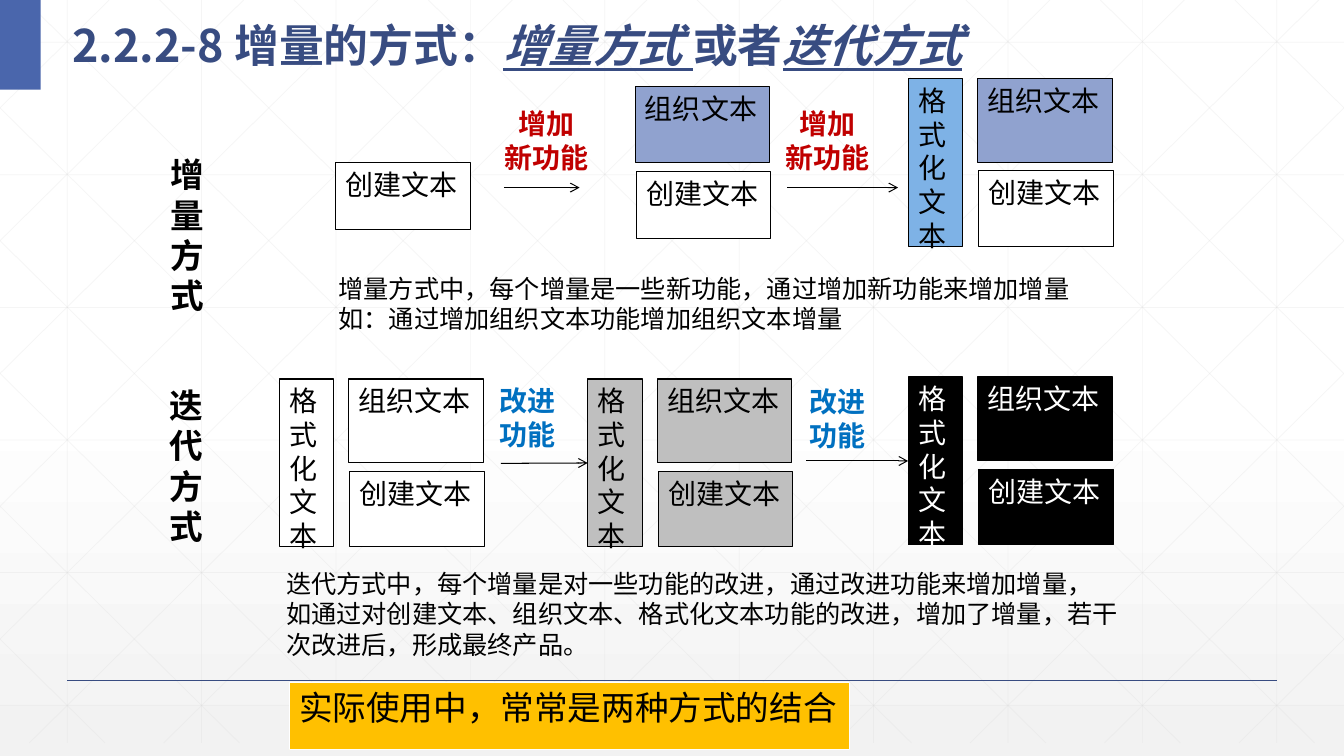
from lxml.etree import SubElement
from pptx import Presentation
from pptx.dml.color import RGBColor
from pptx.enum.shapes import MSO_CONNECTOR, MSO_SHAPE
from pptx.enum.text import MSO_ANCHOR, MSO_AUTO_SIZE, PP_ALIGN
from pptx.oxml.ns import qn
from pptx.util import Pt

COLOURS = {
    "black": "000000", "white": "FFFFFF", "smoke": "F2F2F2", "grid": "D9D9D9",
    "navy": "384C81", "blue": "4A66AC", "periwinkle": "90A2CF", "sky": "7EB2E6",
    "grey": "BFBFBF", "gold": "FFC000", "red": "C00000", "azure": "0070C0",
}
WIDTH, HEIGHT = 960, 540
GRID_BOTTOM, GRID_STEP, DIAGONAL_RUN = 530.6, 96, 537


def colour(name):
    return RGBColor.from_string(COLOURS[name])


class SlideBuilder:
    """Holds the text style and the current page; lengths are in points."""

    fonts = {"serif": "Times New Roman", "sans": "Arial", "cjk": "Noto Sans CJK SC"}

    def __init__(self, page):
        self.page = page

    def background(self):
        fill = self.page.background.fill
        fill.gradient()
        fill.gradient_angle = 270
        for stop, position, name in zip(fill.gradient_stops, (0.53, 1), ("white", "smoke")):
            stop.position = position
            stop.color.rgb = colour(name)

    def span(self, para, text, size, ink="black", font="serif", **extra):
        span = para.add_run()
        span.text = text
        values = {"size": Pt(size), "name": self.fonts[font], **extra}
        for key, value in values.items():
            setattr(span.font, key, value)
        span.font.color.rgb = colour(ink)
        SubElement(span._r.get_or_add_rPr(), qn("a:ea"), typeface=self.fonts["cjk"])

    def paragraphs(self, frame, lines, align=PP_ALIGN.LEFT, **style):
        settings = {"word_wrap": True, "auto_size": MSO_AUTO_SIZE.NONE,
                    "vertical_anchor": MSO_ANCHOR.TOP}
        for key, value in settings.items():
            setattr(frame, key, value)
        for index, line in enumerate(lines):
            para = frame.add_paragraph() if index else frame.paragraphs[0]
            para.alignment = align
            self.span(para, line, **style)

    def title(self, spans, left, top, width, height):
        title = self.page.shapes.title
        values = {"left": left, "top": top, "width": width, "height": height}
        for key, value in values.items():
            setattr(title, key, Pt(value))
        frame = title.text_frame
        frame.word_wrap = True
        frame.auto_size = MSO_AUTO_SIZE.NONE
        frame.vertical_anchor = MSO_ANCHOR.MIDDLE
        para = frame.paragraphs[0]
        para.alignment = PP_ALIGN.LEFT
        para.line_spacing = 1.3
        for text, marked in spans:
            self.span(para, text, 32, "navy", "cjk", bold=True, italic=marked, underline=marked)
        # Bring the title in front of the background grid
        title.element.getparent().append(title.element)

    def box(self, left, top, width, height, fill, outline=None, text=None, **style):
        box = self.page.shapes.add_shape(
            MSO_SHAPE.RECTANGLE, Pt(left), Pt(top), Pt(width), Pt(height))
        box.shadow.inherit = False
        box.fill.solid()
        box.fill.fore_color.rgb = colour(fill)
        if outline:
            box.line.color.rgb = colour(outline)
            box.line.width = Pt(0.75)
        else:
            box.line.fill.background()
        if text:
            self.paragraphs(box.text_frame, [text], **style)
        return box

    def label(self, left, top, width, height, lines, **style):
        box = self.page.shapes.add_textbox(Pt(left), Pt(top), Pt(width), Pt(height))
        self.paragraphs(box.text_frame, lines, **style)

    def line(self, start, end, ink="black", weight=0.75, alpha=None, arrow=False, target=None):
        points = [Pt(value) for value in (*start, *end)]
        line = self.page.shapes.add_connector(MSO_CONNECTOR.STRAIGHT, *points)
        line.line.color.rgb = colour(ink)
        line.line.width = Pt(weight)
        if target is not None:
            line.end_connect(target, 1)
        properties = line.element.spPr
        outline = properties.find(qn("a:ln"))
        if alpha:
            SubElement(outline.find(".//" + qn("a:srgbClr")), qn("a:alpha"), val=str(alpha * 1000))
        if arrow:
            SubElement(outline, qn("a:tailEnd"), type="arrow")
        SubElement(properties, qn("a:effectLst"))

    def grid(self):
        style = {"ink": "grid", "weight": 0.5, "alpha": 25}
        for column in range(10):
            x = 48 + GRID_STEP * column
            self.line((x, 0), (x, GRID_BOTTOM), **style)
        for row in range(6):
            y = 30.2 + 94.7 * row
            self.line((0, y), (WIDTH, y), **style)
        # Diagonals, clipped at the page sides, and their mirror images
        slope = GRID_BOTTOM / DIAGONAL_RUN
        for step in range(-5, 10):
            origin = 18 + GRID_STEP * step
            x1, x2 = max(origin, 0), min(origin + DIAGONAL_RUN, WIDTH)
            y1, y2 = (x1 - origin) * slope, (x2 - origin) * slope
            self.line((x1, y1), (x2, y2), **style)
            self.line((WIDTH - x1, y1), (WIDTH - x2, y2), **style)

    def module(self, left, top, width, height, text, fill="white", ink="black"):
        return self.box(left, top, width, height, fill, "black", text, size=20, ink=ink)

    def product(self, left, top, fills, ink="black"):
        """Draws the three modules and returns the tall one on the left."""
        create, organize, layout = fills
        self.module(left + 50.4, top + 65.8, 96, 54, "创建文本", create, ink)
        self.module(left + 49.7, top, 96, 60, "组织文本", organize, ink)
        return self.module(left, top, 39, 120, "格式化文本", layout, ink)


def main():
    deck = Presentation()
    deck.slide_width, deck.slide_height = Pt(WIDTH), Pt(HEIGHT)
    slide = SlideBuilder(deck.slides.add_slide(deck.slide_layouts[5]))

    # Backdrop and title
    slide.background()
    slide.grid()
    slide.line((48, 486), (912, 486), "navy", 1)
    slide.box(0, 0, 29, 64, "blue")
    slide.title([("2.2.2-8 增量的方式：", False), ("增量方式 ", True),
                 ("或者", False), ("迭代方式", True)], 44.6, 0, 690, 52.6)

    # Incremental row: each step adds a module
    slide.module(239.8, 116, 96, 48, "创建文本")
    slide.module(454.4, 122.4, 96, 48, "创建文本")
    slide.module(453.6, 62, 96, 54, "组织文本", "periwinkle")
    slide.product(648.7, 56.2, ("white", "periwinkle", "sky"))
    for start, end in ((360, 414), (562.3, 641.5)):
        slide.line((start, 134), (end, 134), arrow=True)

    # Iterative row: each step improves all modules
    slide.product(199.4, 270.7, ["white"] * 3)
    second = slide.product(419.8, 270.7, ["grey"] * 3)
    third = slide.product(648.7, 269.3, ["black"] * 3, "white")
    slide.line((357.8, 331), (419.8, 330.7), arrow=True, target=second)
    slide.line((576, 329.3), (648.7, 329.3), arrow=True, target=third)

    # Row names
    slide.label(114.5, 106.6, 48, 96, ["增量方式"], size=24, bold=True)
    slide.label(113.8, 271.4, 48, 99.4, ["迭代方式"], size=24, bold=True)

    # Captions above the arrows
    added, improved = (["增加", "新功能"], "red"), (["改进", "功能"], "azure")
    for left, top, width, (lines, ink) in (
            (349.2, 72.7, 82.8, added), (542.2, 72.7, 97.9, added),
            (344.9, 270.7, 64, improved), (566.6, 271.4, 64, improved)):
        slide.label(left, top, width, 48, lines, align=PP_ALIGN.CENTER,
                    size=20, ink=ink, bold=True)

    # Explanations and conclusion
    slide.label(234.7, 191.5, 538.6, 51, [
        "增量方式中，每个增量是一些新功能，通过增加新功能来增加增量",
        "如：通过增加组织文本功能增加组织文本增量"], size=18, font="sans")
    slide.label(197.3, 402.5, 614.9, 72.7, [
        "迭代方式中，每个增量是对一些功能的改进，通过改进功能来增加增量，",
        "如通过对创建文本、组织文本、格式化文本功能的改进，增加了增量，若干次改进后，形成最终产品。",
    ], size=18, font="sans")
    slide.box(206.6, 487.4, 400.3, 48.2, "gold", "white",
              "实际使用中，常常是两种方式的结合", size=24)

    deck.save("out.pptx")


if __name__ == "__main__":
    main()
